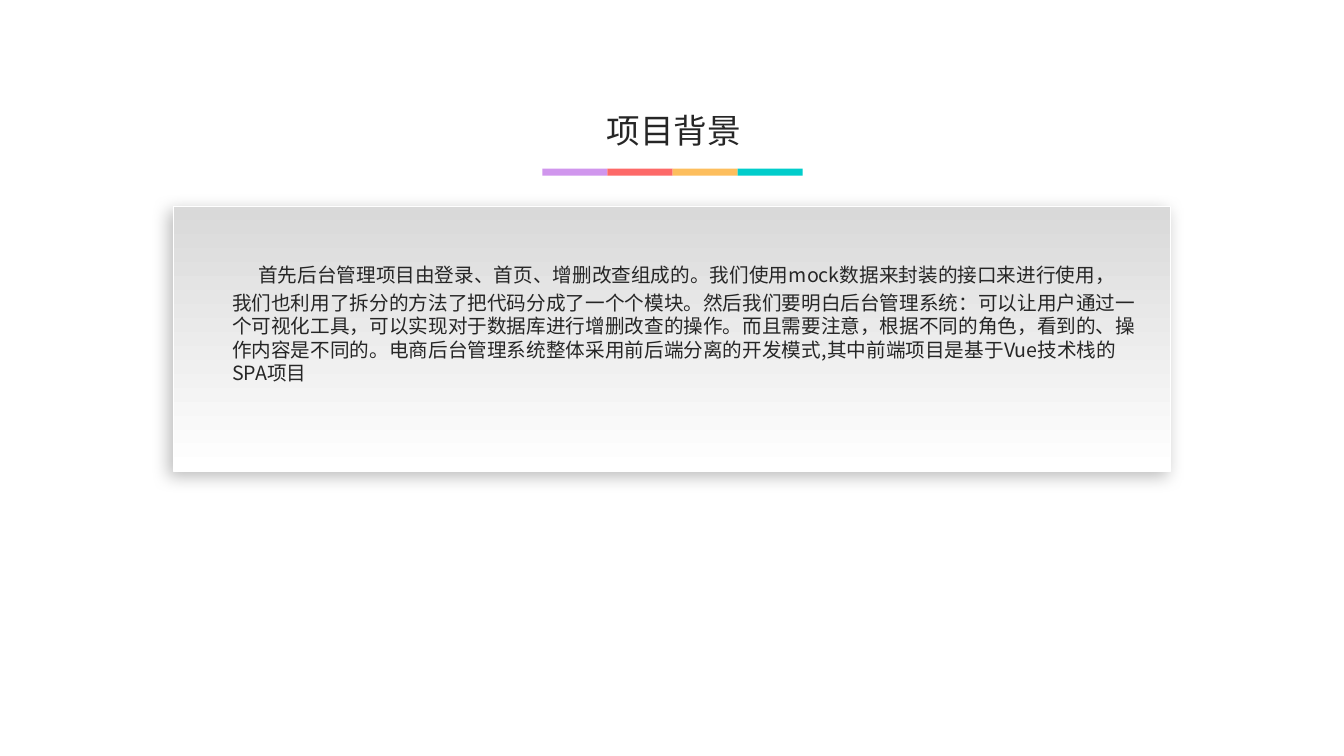
from lxml.etree import SubElement as Sub
from pptx import Presentation
from pptx.dml.color import RGBColor
from pptx.enum.shapes import MSO_SHAPE as Shape
from pptx.enum.text import MSO_ANCHOR as Anchor, PP_ALIGN as Align
from pptx.oxml.ns import qn
from pptx.util import Cm, Pt

# Content
TITLE = "项目背景"
TEXT = [
    "首先后台管理项目由登录、首页、增删改查组成的。我们使用mock数据来封装的接口来进行使用，",
    "我们也利用了拆分的方法了把代码分成了一个个模块。然后我们要明白后台管理系统："
    "可以让用户通过一个可视化工具，可以实现对于数据库进行增删改查的操作。"
    "而且需要注意，根据不同的角色，看到的、操作内容是不同的。"
    "电商后台管理系统整体采用前后端分离的开发模式,其中前端项目是基于Vue技术栈的SPA项目",
]
BARS = ["D096ED", "FD6968", "FDBE5D", "01CDCB"]
FONT, INK = "Noto Sans CJK SC", "262626"


def color(code):
    return RGBColor.from_string(code)


def style(par, size):
    font = par.font
    font.name, font.size, font.bold = FONT, Pt(size), False
    font.color.rgb = color(INK)
    base = par._p.pPr.find(qn("a:defRPr"))
    Sub(base, qn("a:ea")).set("typeface", FONT)


def rect(left, top, width, height):
    box = slide.shapes.add_shape(
        Shape.RECTANGLE, Cm(left), Cm(top), Cm(width), Cm(height))
    box.shadow.inherit = False
    return box


deck = Presentation()
deck.slide_width, deck.slide_height = Cm(33.87), Cm(19.05)
slide = deck.slides.add_slide(deck.slide_layouts[5])

# Title
title = slide.shapes.title
title.left, title.top = Cm(13.55), Cm(2.64)
title.width, title.height = Cm(6.86), Cm(1.28)
frame = title.text_frame
frame.text = TITLE
frame.vertical_anchor = Anchor.MIDDLE
frame.paragraphs[0].alignment = Align.CENTER
style(frame.paragraphs[0], 24)

# Colour bars under the title
wide = 1.64
for i, code in enumerate(BARS):
    bar = rect(13.67 + i * wide, 4.25, wide, 0.18)
    bar.fill.solid()
    bar.fill.fore_color.rgb = color(code)
    bar.line.fill.background()

# Panel with gradient and soft shadow
panel = rect(4.38, 5.2, 25.12, 6.68)
panel.fill.gradient()
panel.fill.gradient_angle = 90
for stop, code in zip(panel.fill.gradient_stops, ["FFFFFF", "D9D9D9"]):
    stop.color.rgb = color(code)
panel.line.color.rgb = color("FFFFFF")
panel.line.width = Pt(1)
effects = panel._element.spPr.find(qn("a:effectLst"))
shade = Sub(effects, qn("a:outerShdw"), blurRad=str(Pt(12)), dist=str(Pt(5)),
            dir=str(135 * 60000), algn="tr", rotWithShape="0")
black = Sub(shade, qn("a:srgbClr"), val="000000")
Sub(black, qn("a:alpha"), val="26000")

# Body text
body = slide.shapes.add_textbox(Cm(5.85), Cm(6.63), Cm(22.89), Cm(3.71))
frame = body.text_frame
frame.word_wrap = True
frame.margin_left = frame.margin_top = 0
frame.margin_right = frame.margin_bottom = 0
for i, text in enumerate(TEXT):
    par = frame.add_paragraph() if i else frame.paragraphs[0]
    par.text = text
    par.line_spacing = 1.0
    if i:
        par.space_before = Pt(2.8)
    else:
        par._p.get_or_add_pPr().set("indent", str(Cm(0.66)))
    style(par, 14)

deck.save("out.pptx")
